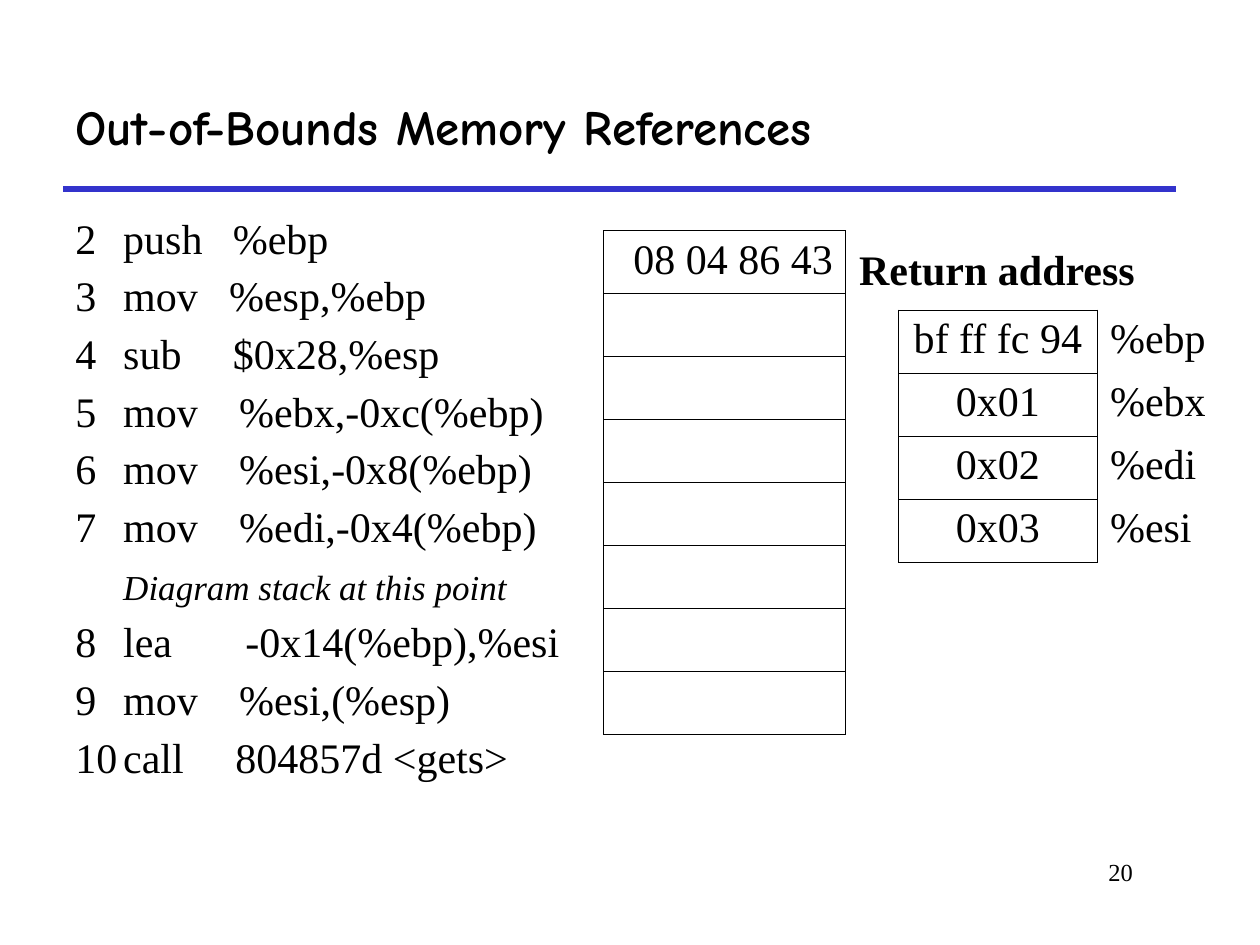
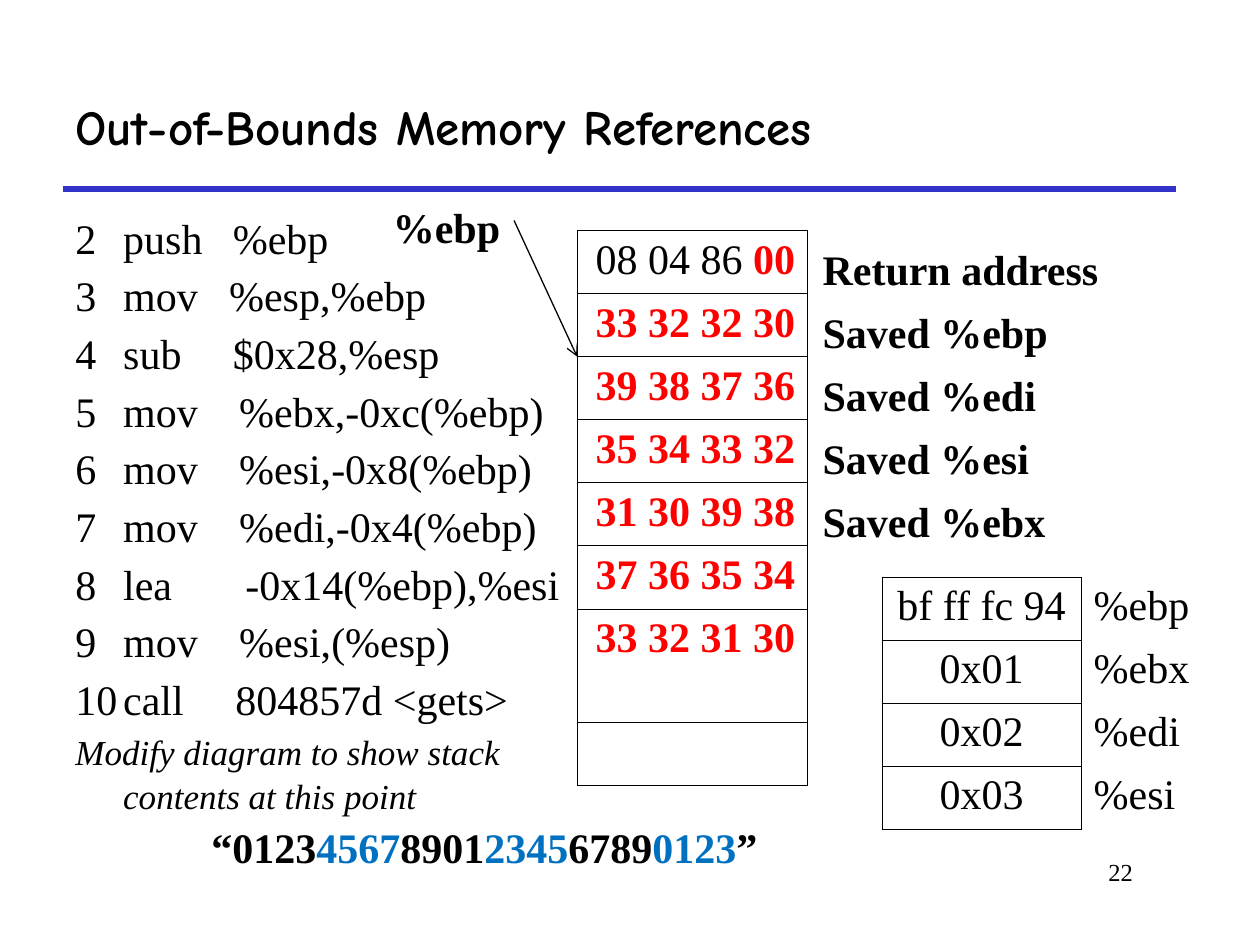
import pptx
import pptx.dml.color
import pptx.enum.shapes
import pptx.enum.text
import pptx.oxml
import pptx.oxml.ns
import pptx.util

Inches, Pt = pptx.util.Inches, pptx.util.Pt
RGBColor = pptx.dml.color.RGBColor
ALIGN = pptx.enum.text.PP_ALIGN
ANCHOR = pptx.enum.text.MSO_ANCHOR
STRAIGHT = pptx.enum.shapes.MSO_CONNECTOR.STRAIGHT

BLACK = RGBColor(0x00, 0x00, 0x00)
RED = RGBColor(0xFF, 0x00, 0x00)
BLUE = RGBColor(0x00, 0x70, 0xC0)
RULE_BLUE = RGBColor(0x33, 0x33, 0xCC)

SERIF = "Times New Roman"
TITLE_FONT = "Comic Neue"
TITLE = "Out-of-Bounds Memory References"

# Line number, mnemonic, operand, place of the operand
PROLOGUE = [
    ("2", "push", "%ebp", 1.25),
    ("3", "mov", "%esp,%ebp", 1.22),
    ("4", "sub", "$0x28,%esp", 1.25),
    ("5", "mov", "%ebx,-0xc(%ebp)", 1.3),
    ("6", "mov", "%esi,-0x8(%ebp)", 1.3),
    ("7", "mov", "%edi,-0x4(%ebp)", 1.3),
]
CALL_GETS = [
    ("8", "lea", "-0x14(%ebp),%esi", 1.35),
    ("9", "mov", "%esi,(%esp)", 1.3),
    ("10", "call", "804857d <gets>", 1.27),
]
DIAGRAM_TASK = "Diagram stack at this point"
MODIFY_TASK = "Modify diagram to show stack contents at this point"

REGISTERS = [("bf ff fc 94", "%ebp"), ("0x01", "%ebx"),
             ("0x02", "%edi"), ("0x03", "%esi")]

# Stack cells, each a list of (text, format) spans
OVERWRITTEN = {"color": RED, "bold": True}
STACK_BEFORE = [[("08 04 86 43", {})]] + [[]] * 7
STACK_AFTER = [[("08 04 86 ", {}), ("00", OVERWRITTEN)]] + [
    [(word, OVERWRITTEN)] for word in (
        "33 32 32 30", "39 38 37 36", "35 34 33 32",
        "31 30 39 38", "37 36 35 34", "33 32 31 30")
] + [[]]
STACK_LABELS = ["Return address", "Saved %ebp", "Saved %edi",
                "Saved %esi", "Saved %ebx"]
INPUT_WORDS = ["“0123", "4567", "8901", "2345", "6789", "0123", "”"]

ROW = 0.5
STACK_TOP = 1.83
INDENT = 0.38
LABEL = {"margin_top": Inches(0.1), "margin_bottom": 0}


def set_all(target, values):
    for name, value in values.items():
        setattr(target, name, value)


def add_spans(para, spans):
    for text, values in spans:
        span = para.add_run()
        span.text = text
        values = {"name": SERIF, "size": Pt(24), "color": BLACK, **values}
        span.font.color.rgb = values.pop("color")
        set_all(span.font, values)


def add_text(page, place, spans, frame_format=None, align=ALIGN.LEFT):
    box = page.shapes.add_textbox(*map(Inches, place))
    set_all(box.text_frame, {"word_wrap": True, **(frame_format or {})})
    para = box.text_frame.paragraphs[0]
    para.alignment = align
    add_spans(para, spans)
    return box


def add_label(page, left, top, width, text):
    return add_text(page, (left, top, width, ROW), [(text, {"bold": True})], LABEL)


def add_line(page, start, end, color, width):
    line = page.shapes.add_connector(STRAIGHT, *map(Inches, start + end))
    line.line.color.rgb = color
    line.line.width = Pt(width)
    add_xml(line._element.spPr, "effectLst")
    return line


def add_xml(parent, tag, **attributes):
    child = parent.makeelement(pptx.oxml.ns.qn("a:" + tag), attributes)
    parent.append(child)
    return child


def start_page(deck, number):
    """Add a page with the shared title, rule and page number."""
    page = deck.slides.add_slide(deck.slide_layouts[6])
    add_line(page, (0.5, 1.5), (9.33, 1.5), RULE_BLUE, 3)
    add_text(page, (0.5, 0.5, 9.08, 1),
             [(TITLE, {"name": TITLE_FONT, "size": Pt(28), "bold": True})],
             {"vertical_anchor": ANCHOR.MIDDLE})
    add_text(page, (7.67, 6.75, 1.42, 0.5), [(str(number), {"size": Pt(14)})],
             align=ALIGN.RIGHT)
    return page


def add_listing(page, lines):
    """Write code rows, with tasks in italics between or after them."""
    frame = add_text(page, (0.5, 1.62, 4.17, 5.21), []).text_frame
    task_format = {"size": Pt(20), "italic": True}
    for index, line in enumerate(lines):
        para = frame.add_paragraph() if index else frame.paragraphs[0]
        para.line_spacing = 1.04
        if index:
            para.space_before = Pt(3)
        properties = para._p.get_or_add_pPr()
        if line == MODIFY_TASK:
            properties.set("marL", str(Inches(INDENT)))
            properties.set("indent", str(-Inches(INDENT)))
            add_spans(para, [(line, task_format)])
            continue
        stops = [INDENT]
        if line == DIAGRAM_TASK:
            spans = [("\t", {}), (line, task_format)]
        else:
            *parts, operand_place = line
            stops.append(operand_place)
            spans = [("\t".join(parts), {})]
        tabs = add_xml(properties, "tabLst")
        for stop in stops:
            add_xml(tabs, "tab", pos=str(Inches(stop)), algn="l")
        add_spans(para, spans)


def format_cell(cell, spans, align, bordered="LRTB"):
    properties = cell._tc.get_or_add_tcPr()
    for side in "LRTB":
        border = add_xml(properties, "ln" + side, w=str(Pt(0.45)))
        if side in bordered:
            add_xml(add_xml(border, "solidFill"), "srgbClr", val=str(BLACK))
        else:
            add_xml(border, "noFill")
    cell.fill.background()
    para = cell.text_frame.paragraphs[0]
    para.alignment = align
    add_spans(para, spans)


def add_grid(page, left, top, widths, heights):
    size = map(Inches, (left, top, sum(widths), sum(heights)))
    grid = page.shapes.add_table(len(heights), len(widths), *size).table
    set_all(grid, {"first_row": False, "horz_banding": False})
    for column, width in zip(grid.columns, widths):
        column.width = Inches(width)
    for row, height in zip(grid.rows, heights):
        row.height = Inches(height)
    return grid


def add_stack(page, left, width, words, heights):
    grid = add_grid(page, left, STACK_TOP, [width], heights)
    for row, spans in enumerate(words):
        format_cell(grid.cell(row, 0), spans, ALIGN.RIGHT)


def add_registers(page, left, top):
    grid = add_grid(page, left, top, [1.58, 1.04], [ROW] * len(REGISTERS))
    for row, (value, name) in enumerate(REGISTERS):
        format_cell(grid.cell(row, 0), [(value, {})], ALIGN.CENTER)
        format_cell(grid.cell(row, 1), [(name, {})], ALIGN.LEFT, "L")


def build_question(deck):
    page = start_page(deck, 20)
    add_listing(page, PROLOGUE + [DIAGRAM_TASK] + CALL_GETS)
    add_stack(page, 4.79, 1.92, STACK_BEFORE, [ROW] * 8)
    add_label(page, 6.72, STACK_TOP, 2.39, STACK_LABELS[0])
    add_registers(page, 7.13, 2.46)


def build_answer(deck):
    page = start_page(deck, 22)
    add_listing(page, PROLOGUE + CALL_GETS + [MODIFY_TASK])
    stack_left = 4.58
    add_stack(page, stack_left, 1.83, STACK_AFTER, [ROW] * 6 + [0.9, ROW])
    for row, text in enumerate(STACK_LABELS):
        add_label(page, 6.43, STACK_TOP + row * ROW, 2.39, text)
    add_registers(page, 7, 4.58)

    spans = [(word, {"bold": True, "color": BLUE if index % 2 else BLACK})
             for index, word in enumerate(INPUT_WORDS)]
    add_text(page, (1.58, 6.42, 5.17, ROW), spans, LABEL)

    pointer = add_label(page, 3.02, 1.5, 1.06, "%ebp")
    arrow = add_line(page, (4.08, 1.75), (stack_left, STACK_TOP + 2 * ROW), BLACK, 0.75)
    arrow.begin_connect(pointer, 3)
    add_xml(arrow.line._get_or_add_ln(), "tailEnd", type="arrow")


def main():
    deck = pptx.Presentation()
    deck.slide_width, deck.slide_height = Inches(10), Inches(7.5)
    build_question(deck)
    build_answer(deck)
    deck.save("out.pptx")


if __name__ == "__main__":
    main()
